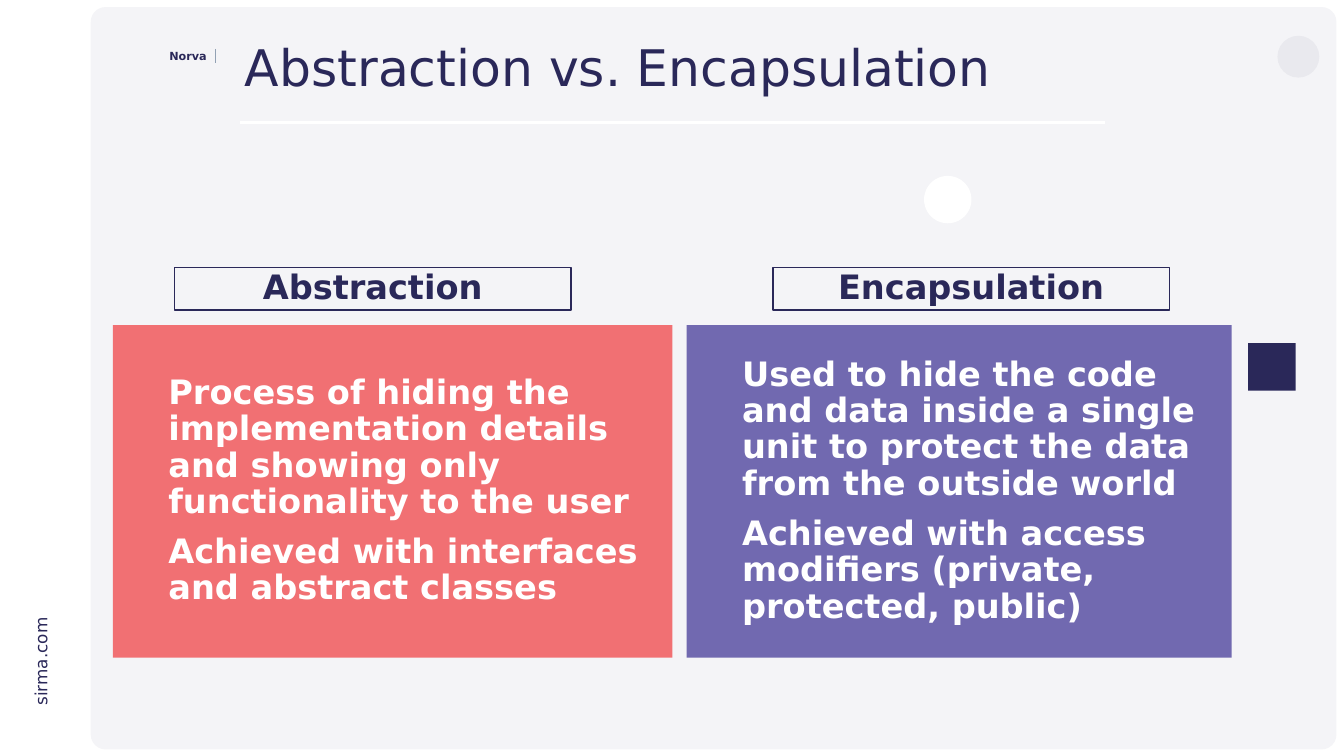
from lxml import etree
from pptx import Presentation
from pptx.dml.color import RGBColor
from pptx.enum import shapes, text
from pptx.oxml.ns import qn
from pptx.util import Inches, Pt

NAVY, WHITE = "2A2859", "FFFFFF"
SHAPE = shapes.MSO_SHAPE
MID = text.MSO_ANCHOR.MIDDLE
CENTER = text.PP_ALIGN.CENTER


def color(code):
    return RGBColor.from_string(code)


class Deck:
    font = "DejaVu Sans"

    def __init__(self, width, height):
        self.prs = Presentation()
        self.prs.slide_width = Inches(width)
        self.prs.slide_height = Inches(height)
        self.slide = self.prs.slides.add_slide(self.prs.slide_layouts[6])

    def shape(self, kind, box, fill=None, line=None, width=2.25):
        item = self.slide.shapes.add_shape(kind, *map(Inches, box))
        item.shadow.inherit = False
        if fill:
            item.fill.solid()
            item.fill.fore_color.rgb = color(fill)
        else:
            item.fill.background()
        if line:
            item.line.color.rgb = color(line)
            item.line.width = Pt(width)
        else:
            item.line.fill.background()
        return item

    def fill_text(self, item, paras, size, ink=NAVY, bold=False, align=None,
                  anchor=text.MSO_ANCHOR.TOP, wrap=True, left=0.1, spacing=1.0):
        """Fill a shape with paragraphs, each a list of lines."""
        frame = item.text_frame
        frame.word_wrap = wrap
        frame.vertical_anchor = anchor
        frame.margin_left = Inches(left)
        for i, lines in enumerate(paras):
            para = frame.add_paragraph() if i else frame.paragraphs[0]
            para.alignment = align or text.PP_ALIGN.LEFT
            para.line_spacing = spacing
            para.space_before = Pt(20 if i else 0)
            for j, line in enumerate(lines):
                if j:
                    para.add_line_break()
                run = para.add_run()
                run.text = line
                run.font.name = self.font
                run.font.size = Pt(size)
                run.font.bold = bold
                run.font.color.rgb = color(ink)

    def label(self, box, words, size, turn=0, **style):
        item = self.slide.shapes.add_textbox(*map(Inches, box))
        item.rotation = turn
        self.fill_text(item, [[words]], size, **style)

    def rule(self, start, end, ink, width):
        item = self.slide.shapes.add_connector(
            shapes.MSO_CONNECTOR.STRAIGHT, *map(Inches, start + end))
        item.line.color.rgb = color(ink)
        item.line.width = Pt(width)
        etree.SubElement(item._element.spPr, qn("a:effectLst"))

    def card(self, left, width, fill, paras):
        item = self.shape(SHAPE.RECTANGLE, (left, 6.45, width, 6.6), fill)
        self.fill_text(item, paras, 48, WHITE, True, anchor=MID, left=1.1,
                       spacing=0.9)

    def heading(self, left, words):
        item = self.shape(SHAPE.RECTANGLE, (left, 5.31, 7.87, 0.84), line=NAVY)
        self.fill_text(item, [[words]], 48, bold=True, align=CENTER,
                       anchor=MID, spacing=0.9)


def main():
    deck = Deck(26.66, 15)

    panel = deck.shape(SHAPE.ROUNDED_RECTANGLE, (1.8, 0.14, 24.71, 14.73),
                       "F4F4F7")
    panel.adjustments[0] = 0.02
    deck.label((-0.18, 12.86, 1.97, 0.5), "sirma.com", 24, turn=270, wrap=False)
    deck.shape(SHAPE.OVAL, (25.34, 0.71, 0.83, 0.83), "E9E9EE")
    deck.label((3.26, 0.93, 0.94, 0.37), "Norva", 16, bold=True, wrap=False)
    deck.rule((4.27, 0.97), (4.27, 1.26), "92A1B4", 1)
    deck.shape(SHAPE.RECTANGLE, (24.76, 6.81, 0.94, 0.94), NAVY)
    deck.shape(SHAPE.OVAL, (18.33, 3.49, 0.94, 0.94), WHITE)
    deck.rule((4.76, 2.43), (21.91, 2.43), WHITE, 3)
    deck.label((4.76, 0.8, 17.15, 1.84), "Abstraction vs. Encapsulation", 72,
               spacing=0.9)

    deck.card(2.24, 11.1, "F17073", [
        ["Process of hiding the", "implementation details",
         "and showing only", "functionality to the user"],
        ["Achieved with interfaces", "and abstract classes"],
    ])
    deck.card(13.62, 10.81, "7169B0", [
        ["Used to hide the code", "and data inside a single",
         "unit to protect the data", "from the outside world"],
        ["Achieved with access", "modifiers (private,", "protected, public)"],
    ])
    deck.heading(3.46, "Abstraction")
    deck.heading(15.33, "Encapsulation")

    deck.prs.save("out.pptx")


if __name__ == "__main__":
    main()
